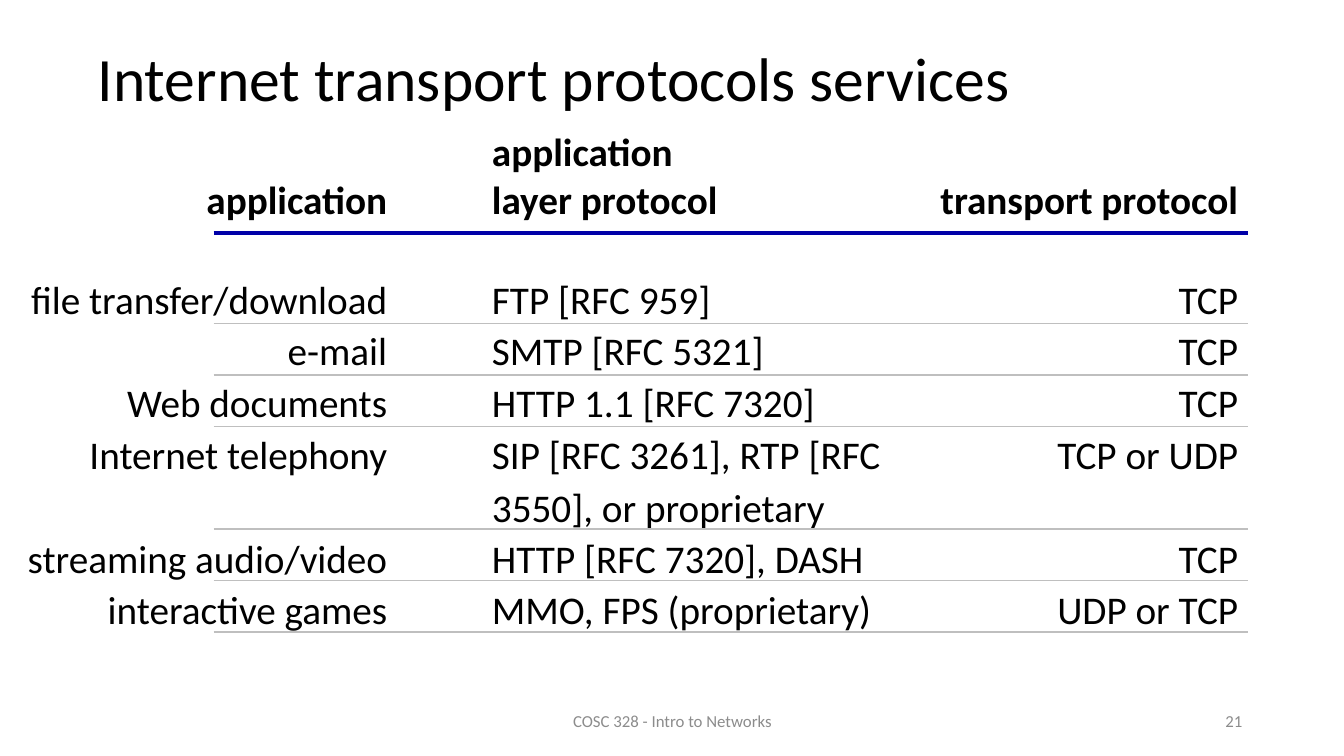
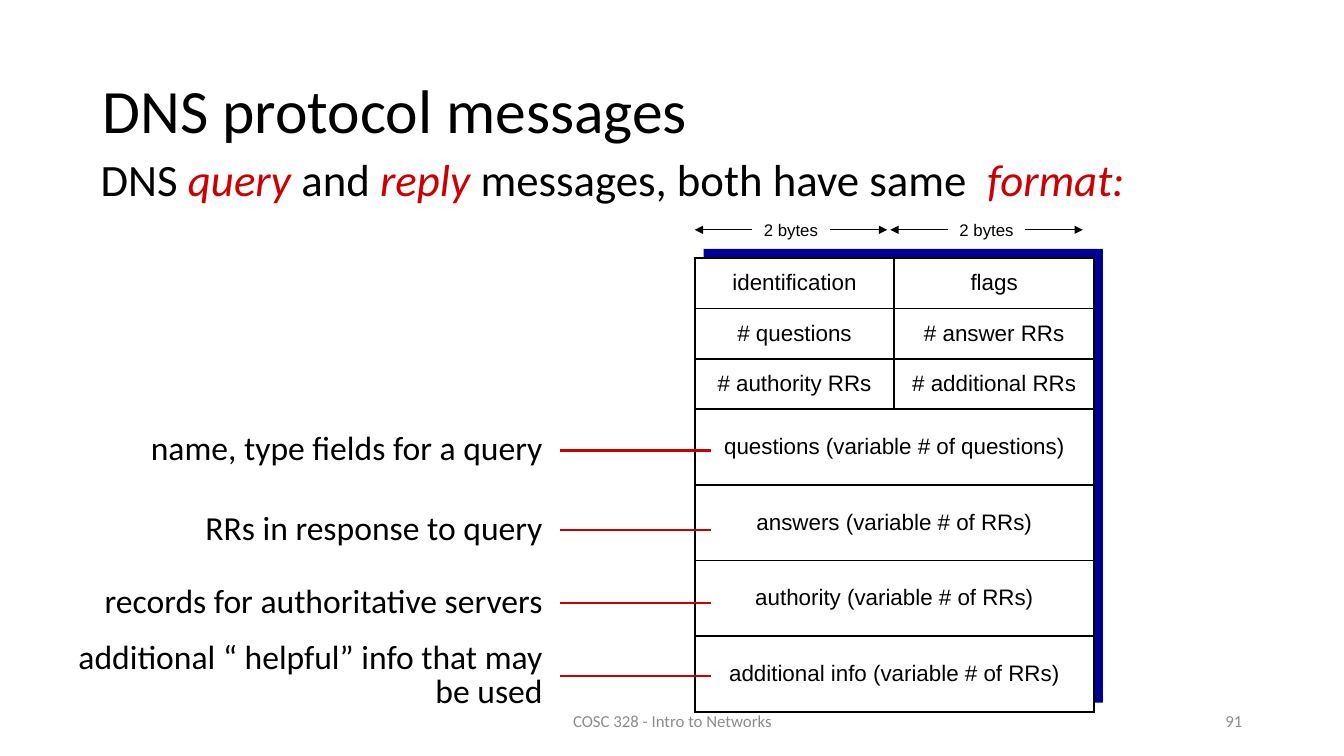
"""Builds two slides of a networking course: transport protocols and DNS messages."""
import collections

import lxml.etree
import pptx
import pptx.dml.color
import pptx.enum.shapes
import pptx.enum.text
import pptx.oxml
import pptx.oxml.ns
import pptx.util

Box = collections.namedtuple("Box", "left top width height")
Run = collections.namedtuple("Run", "text color italic", defaults=("000000", False))
Style = collections.namedtuple(
    "Style", "size font align anchor spacing bold color",
    defaults=("Calibri", "LEFT", "TOP", 1.0, False, "000000"))

SLIDE = Box(0, 0, 13.33, 7.5)
BLACK, WHITE, RED, GREY = "000000", "FFFFFF", "CC0000", "BFBFBF"
RULE_BLUE, SHADOW_BLUE = "0000A8", "000099"
TITLE = Style(44, anchor="MIDDLE", spacing=0.9)
FOOTER = Style(12, anchor="MIDDLE", color="8C8C8C")
SUBTITLE = Style(32, spacing=0.9)
HEADING = Style(28, anchor="BOTTOM", bold=True)
ENTRY = Style(28, spacing=1.1)
FIELD = Style(16, "Arial", "CENTER", "MIDDLE")
MEASURE = Style(12, "Arial", "CENTER", "MIDDLE")
CALLOUT = Style(24, align="RIGHT", anchor="MIDDLE", spacing=0.85)

HEADINGS = (["application"], ["application", "layer protocol"], ["transport protocol"])
PROTOCOLS = (
    ("file transfer/download", "FTP [RFC 959]", "TCP"),
    ("e-mail", "SMTP [RFC 5321]", "TCP"),
    ("Web documents", "HTTP 1.1 [RFC 7320]", "TCP"),
    ("Internet telephony", "SIP [RFC 3261], RTP [RFC 3550], or proprietary", "TCP or UDP"),
    ("streaming audio/video", "HTTP [RFC 7320], DASH", "TCP"),
    ("interactive games", "MMO, FPS (proprietary)", "UDP or TCP"),
)
PROTOCOL_LINES = (1, 1, 1, 2, 1, 1)
FIELDS = (
    ("identification", "flags"),
    ("# questions", "# answer RRs"),
    ("# authority RRs", "# additional RRs"),
    ("questions (variable # of questions)",),
    ("answers (variable # of RRs)",),
    ("authority (variable # of RRs)",),
    ("additional info (variable # of RRs)",),
)
CALLOUTS = (
    ("name, type fields for a query", 4.47),
    ("RRs in response to query", 5.26),
    ("records for authoritative servers", 5.98),
    ("additional “ helpful” info that may be used", 6.71),
)


def inches(*lengths):
    """Convert lengths in inches to slide units."""
    return [pptx.util.Inches(length) for length in lengths]


def paint(target, color):
    """Give a fill, line or font colour format a solid hex colour."""
    target.rgb = pptx.dml.color.RGBColor.from_string(color)


def write(frame, paragraphs, style):
    """Write paragraphs, each a list of runs, into a text frame."""
    for index, runs in enumerate(paragraphs):
        paragraph = frame.add_paragraph() if index else frame.paragraphs[0]
        paragraph.alignment = getattr(pptx.enum.text.PP_ALIGN, style.align)
        paragraph.line_spacing = style.spacing
        for part in runs:
            run = paragraph.add_run()
            run.text = part.text
            run.font.name = style.font
            run.font.size = pptx.util.Pt(style.size)
            run.font.bold = style.bold
            run.font.italic = part.italic
            paint(run.font.color, part.color)


def add_text(slide, box, runs, style):
    """Add a one-paragraph text box."""
    shape = slide.shapes.add_textbox(*inches(*box))
    shape.text_frame.word_wrap = True
    shape.text_frame.vertical_anchor = getattr(pptx.enum.text.MSO_ANCHOR, style.anchor)
    write(shape.text_frame, [runs], style)


def add_line(slide, start, end, color, width, arrow=False):
    """Add a straight line, with an arrowhead at its end if wanted."""
    connector = slide.shapes.add_connector(
        pptx.enum.shapes.MSO_CONNECTOR.STRAIGHT, *inches(*start, *end))
    paint_line = connector.line
    paint_line.fill.solid()
    paint(paint_line.fill.fore_color, color)
    paint_line.width = pptx.util.Pt(width)
    if arrow:
        lxml.etree.SubElement(
            paint_line.fill._xPr, pptx.oxml.ns.qn("a:tailEnd"), type="triangle")
    properties = connector._element.spPr
    lxml.etree.SubElement(properties, pptx.oxml.ns.qn("a:effectLst"))


def add_table(slide, box, widths, heights):
    """Add an unbanded table with the given column widths and row heights."""
    table = slide.shapes.add_table(len(heights), len(widths), *inches(*box)).table
    table.first_row = table.horz_banding = False
    for column, width in zip(table.columns, inches(*widths)):
        column.width = width
    for row, height in zip(table.rows, inches(*heights)):
        row.height = height
    return table


def fill_cell(cell, paragraphs, style, margins):
    """Fill a cell with text, given its left, top, right and bottom margins."""
    cell.margin_left, cell.margin_top, cell.margin_right, cell.margin_bottom = inches(*margins)
    cell.vertical_anchor = getattr(pptx.enum.text.MSO_ANCHOR, style.anchor)
    write(cell.text_frame, paragraphs, style)


def border_cell(cell, sides, color, width):
    """Draw solid borders on the named sides of a cell."""
    properties = cell._tc.get_or_add_tcPr()
    namespace = pptx.oxml.ns.nsdecls("a")
    for index, side in enumerate(sides):
        border = pptx.oxml.parse_xml(
            f'<a:ln{side} {namespace} w="{pptx.util.Pt(width)}"><a:solidFill>'
            f'<a:srgbClr val="{color}"/></a:solidFill></a:ln{side}>')
        properties.insert(index, border)


def add_frame(presentation, title, title_box, number):
    """Add a blank slide with its title, footer and slide number."""
    slide = presentation.slides.add_slide(presentation.slide_layouts[6])
    add_text(slide, title_box, [Run(title)], TITLE)
    footer = Box(4.42, 6.95, 4.5, 0.4)
    add_text(slide, footer, [Run("COSC 328 - Intro to Networks", FOOTER.color)],
             FOOTER._replace(align="CENTER"))
    add_text(slide, footer._replace(left=9.42, width=3),
             [Run(number, FOOTER.color)], FOOTER._replace(align="RIGHT"))
    return slide


def add_protocol_table(slide, box):
    """Add the protocol table with a rule under the heading and each row."""
    row_height, head_height, head_gap = 0.51, 1.42, 0.47
    widths = (3.81, 5.24, box.width - 9.05)
    heights = [head_height] + [row_height * lines for lines in PROTOCOL_LINES]
    table = add_table(slide, box, widths, heights)
    aligns, indents = ("RIGHT", "LEFT", "RIGHT"), (0, 0.94, 0)
    for row, texts in enumerate((HEADINGS, *PROTOCOLS)):
        for column, text in enumerate(texts):
            cell = table.cell(row, column)
            cell.fill.background()
            lines = [text] if row else text
            style = (ENTRY if row else HEADING)._replace(align=aligns[column])
            margins = (indents[column], 0, 0.1, 0 if row else head_gap)
            fill_cell(cell, [[Run(line)] for line in lines], style, margins)
    rule_left, rule_right = box.left + 1.99, box.left + box.width
    head_rule = box.top + 1.03
    add_line(slide, (rule_left, head_rule), (rule_right, head_rule), RULE_BLUE, 2.5)
    bottom = box.top + head_height
    for height in heights[1:]:
        bottom += height
        add_line(slide, (rule_left, bottom), (rule_right, bottom), GREY, 1.25)


def add_message_format(slide, box):
    """Add the message layout table on its offset shadow."""
    offset = 0.09
    shadow = slide.shapes.add_shape(
        pptx.enum.shapes.MSO_SHAPE.RECTANGLE,
        *inches(box.left + offset, box.top - offset, box.width, box.height))
    shadow.shadow.inherit = False
    shadow.fill.solid()
    paint(shadow.fill.fore_color, SHADOW_BLUE)
    shadow.line.fill.background()
    unit = box.height / 18
    heights = [unit * (2 if len(texts) == 2 else 3) for texts in FIELDS]
    table = add_table(slide, box, [box.width / 2] * 2, heights)
    for row, texts in enumerate(FIELDS):
        if len(texts) == 1:
            table.cell(row, 0).merge(table.cell(row, 1))
        for column in range(2):
            cell = table.cell(row, column)
            cell.fill.solid()
            paint(cell.fill.fore_color, WHITE)
            border_cell(cell, "RTB" if cell.is_spanned else "LRTB", BLACK, 1.5)
            if not cell.is_spanned:
                fill_cell(cell, [[Run(texts[column])]], FIELD, (0.05,) * 4)


def add_byte_measure(slide, box):
    """Add a width label between two outward arrows."""
    middle, arrow = box.top + box.height / 2, 0.57
    right = box.left + box.width
    label = Box(box.left + arrow, box.top, box.width - 2 * arrow, box.height)
    add_text(slide, label, [Run("2 bytes")], MEASURE)
    for inner, outer in ((box.left + arrow, box.left), (right - arrow, right)):
        add_line(slide, (inner, middle), (outer, middle), BLACK, 0.75, arrow=True)


def add_callouts(slide, box):
    """Add the right-aligned notes and their pointers into the layout."""
    pointer, gap, height = 1.5, 0.07, 0.79
    text_width = box.width - pointer - gap
    right = box.left + box.width
    for text, middle in CALLOUTS:
        note = Box(box.left, middle - height / 2, text_width, height)
        add_text(slide, note, [Run(text)], CALLOUT)
        add_line(slide, (right - pointer, middle), (right, middle), RED, 1.5)


def build_transport_slide(presentation):
    """Build the slide on transport protocols."""
    slide = add_frame(presentation, "Internet transport protocols services",
                      Box(0.87, 0.32, 11.5, 0.98), "21")
    add_protocol_table(slide, Box(0.13, 1.28, 12.25, 4.99))


def build_message_slide(presentation):
    """Build the slide on DNS messages."""
    slide = add_frame(presentation, "DNS protocol messages",
                      Box(0.92, 0.4, 11.5, 1.45), "91")
    add_text(slide, Box(0.9, 1.52, 11.23, 0.56), [
        Run("DNS "), Run("query ", RED, True), Run("and "), Run("reply", RED, True),
        Run(" messages, both have same  "), Run("format:", RED, True)], SUBTITLE)
    layout = Box(6.89, 2.56, 3.96, 4.5)
    add_message_format(slide, layout)
    for half in range(2):
        add_byte_measure(slide, Box(layout.left + half * 1.94, 2.13, 1.91, 0.3))
    add_callouts(slide, Box(0.43, layout.top, 6.62, layout.height))


def main():
    """Build and save the presentation."""
    presentation = pptx.Presentation()
    presentation.slide_width, presentation.slide_height = inches(SLIDE.width, SLIDE.height)
    build_transport_slide(presentation)
    build_message_slide(presentation)
    presentation.save("out.pptx")


if __name__ == "__main__":
    main()
